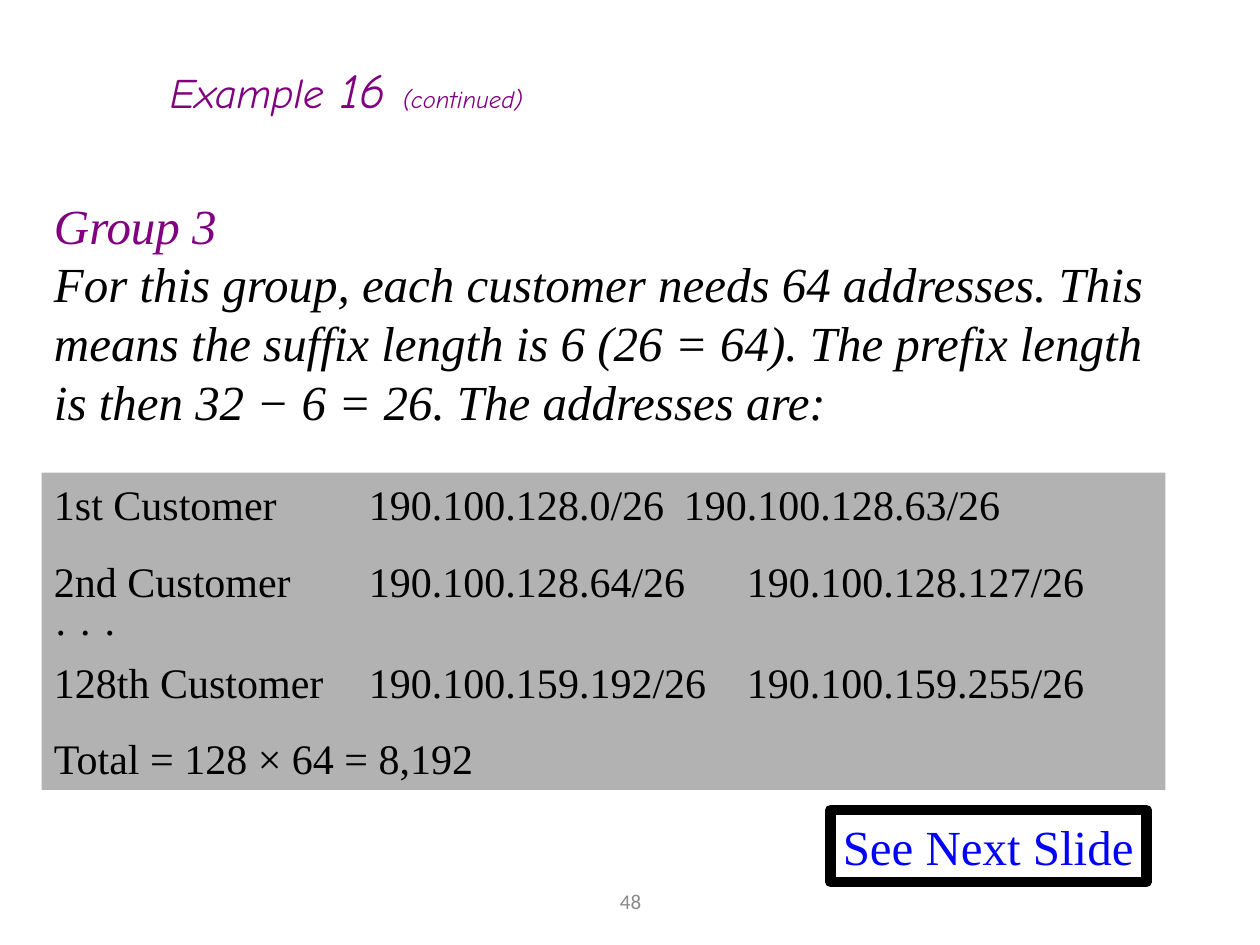
from dataclasses import dataclass

from pptx import Presentation
from pptx.dml.color import RGBColor as RGB
from pptx.enum.shapes import MSO_SHAPE as SHAPE
from pptx.enum.text import MSO_ANCHOR as ANCHOR, MSO_AUTO_SIZE as FIT, PP_ALIGN as ALIGN
from pptx.util import Pt

EMU_PER_PX = 9144


def px(n):
    return n * EMU_PER_PX


@dataclass(frozen=True)
class Theme:
    serif: str = "Times New Roman"
    hand: str = "Comic Neue"
    sans: str = "Calibri"
    ink: str = "000000"
    purple: str = "800080"
    blue: str = "0000FF"
    gray: str = "898989"
    panel: str = "B2B2B2"
    large: int = 28
    body: int = 24
    note: int = 14
    footer: int = 12
    frame: int = 6


class Deck:
    """Draws styled elements on the current slide."""

    def __init__(self, theme, width, height):
        self.t = theme
        self.prs = Presentation()
        self.prs.slide_width, self.prs.slide_height = px(width), px(height)
        self.s = None

    def add_slide(self):
        self.s = self.prs.slides.add_slide(self.prs.slide_layouts[6])

    def style(self, font, name=None, size=None, color=None, italic=None):
        if name:
            font.name = name
        if size:
            font.size = Pt(size)
        if color:
            font.color.rgb = RGB.from_string(color)
        if italic is not None:
            font.italic = italic

    def set_text(self, sp, paragraphs, name, size, color, italic=None,
                 before=0, align=ALIGN.LEFT, anchor=ANCHOR.TOP, wrap=True):
        tf = sp.text_frame
        tf.word_wrap, tf.auto_size, tf.vertical_anchor = wrap, FIT.NONE, anchor
        for i, runs in enumerate(paragraphs):
            p = tf.paragraphs[0] if i == 0 else tf.add_paragraph()
            p.alignment, p.space_before = align, Pt(before)
            self.style(p.font, name, size, color, italic)
            for text, own in runs:
                for j, line in enumerate(text.split("\n")):
                    if j:
                        p.add_line_break()
                    if line:
                        r = p.add_run()
                        r.text = line
                        self.style(r.font, **own)

    def text(self, box, paragraphs, **style):
        sp = self.s.shapes.add_textbox(*map(px, box))
        self.set_text(sp, paragraphs, **style)

    def panel(self, box, paragraphs, fill=None, line=None, **style):
        sp = self.s.shapes.add_shape(SHAPE.RECTANGLE, *map(px, box))
        sp.shadow.inherit = False
        if fill:
            sp.fill.solid()
            sp.fill.fore_color.rgb = RGB.from_string(fill)
        else:
            sp.fill.background()
        if line:
            sp.line.color.rgb = RGB.from_string(line)
            sp.line.width = Pt(self.t.frame)
        else:
            sp.line.fill.background()
        self.set_text(sp, paragraphs, **style)

    def save(self):
        self.prs.save("out.pptx")


def main():
    t = Theme()
    deck = Deck(t, 1000, 750)
    deck.add_slide()
    deck.text((342, 695, 317, 40), [[("48", {})]], name=t.sans, size=t.footer,
              color=t.gray, align=ALIGN.CENTER, anchor=ANCHOR.MIDDLE)
    deck.text((33, 150, 892, 197), [[
        ("Group 3 \n", {"color": t.purple}),
        ("For this group, each customer needs 64 addresses. This means the suffix "
         "length is 6 (26 = 64). The prefix length is then 32 − 6 = 26. "
         "The addresses are:", {}),
    ]], name=t.serif, size=t.large, color=t.ink, italic=True, before=17.5)
    deck.text((125, 42, 525, 57), [[
        ("Example", {}), (" 16 ", {"size": t.large}), ("(continued)", {"size": t.note}),
    ]], name=t.hand, size=t.body, color=t.purple, italic=True)
    deck.panel((659, 643, 251, 57), [[("See Next Slide", {})]], line=t.ink,
               name=t.serif, size=t.large, color=t.blue, wrap=False)
    blocks = (
        "1st Customer \t\t190.100.128.0/26 \t190.100.128.63/26",
        "2nd Customer \t\t190.100.128.64/26 \t190.100.128.127/26\n· · ·\n"
        "128th Customer \t190.100.159.192/26 \t190.100.159.255/26",
        "Total = 128 × 64 = 8,192",
    )
    deck.panel((33, 375, 892, 252), [[(block, {})] for block in blocks], fill=t.panel,
               name=t.serif, size=t.body, color=t.ink, before=15)
    deck.save()


if __name__ == "__main__":
    main()
